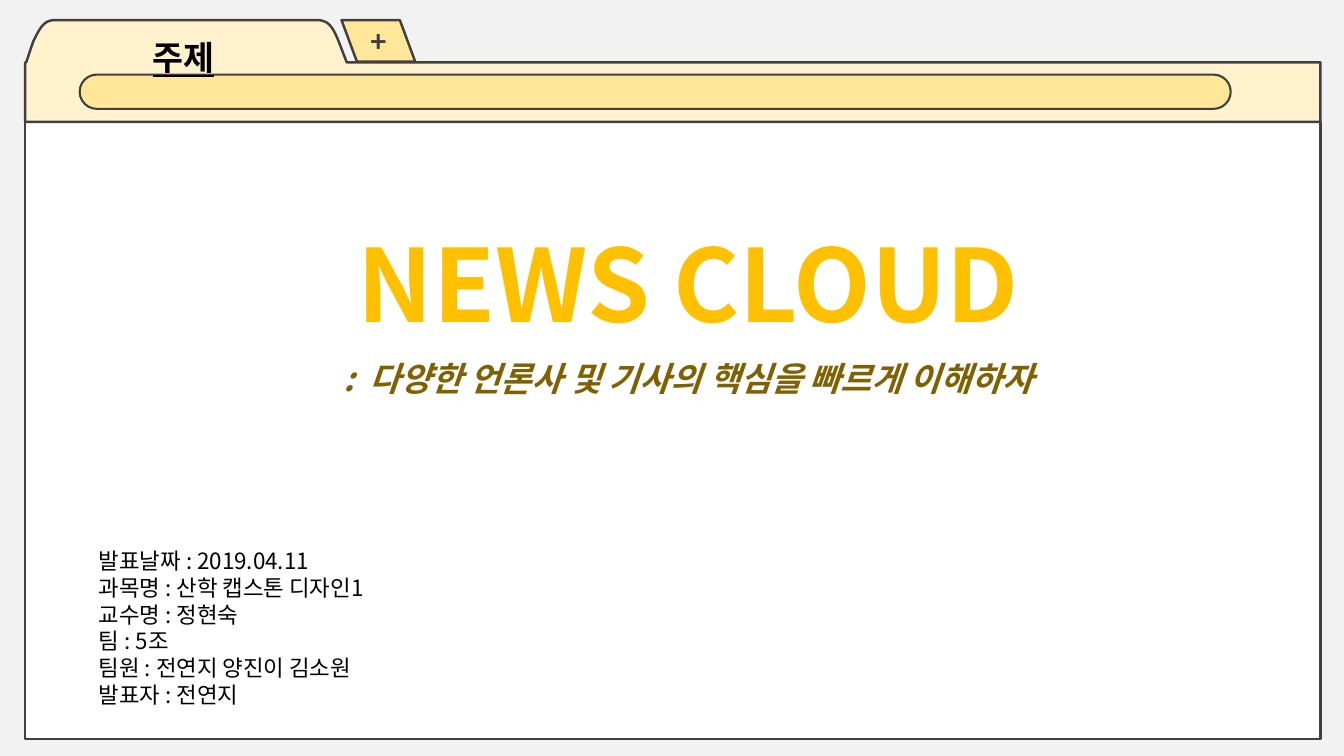
from lxml.etree import SubElement
from pptx import Presentation
from pptx.dml.color import RGBColor
from pptx.enum.shapes import MSO_SHAPE as Kind
from pptx.enum.text import MSO_ANCHOR as Anchor, MSO_AUTO_SIZE as Fit, PP_ALIGN as Align
from pptx.oxml.ns import qn
from pptx.util import Pt

FONT = "Noto Sans CJK KR"
HEX = {"back": "F2F2F2", "page": "FFFFFF", "folder": "FFF2CC", "bar": "FFE699",
       "edge": "404040", "ink": "000000", "gold": "FFC000", "brown": "806000"}
LABEL = "주제"
TITLE = "NEWS CLOUD"
MOTTO = ":  다양한 언론사 및 기사의 핵심을 빠르게 이해하자"
FACTS = [
    "발표날짜 : 2019.04.11",
    "과목명 : 산학 캡스톤 디자인1",
    "교수명 : 정현숙",
    "팀 : 5조",
    "팀원 : 전연지 양진이 김소원",
    "발표자 : 전연지",
]
LEFT, RIGHT, TOP, BASE, FOOT, END = 18, 943.2, 14.4, 44.6, 87.1, 527.8
RISE = [(23.8, 29.5), (28.1, 20.9), (31, TOP), (38.9, TOP)]
FALL = [(226.8, TOP), (235.4, TOP), (238.3, 20.9), (241.9, 29.5)]


def color(name):
    return RGBColor.from_string(HEX[name])


def curve(knots, steps=16):
    weights = (1, 3, 3, 1)
    for step in range(steps + 1):
        t = step / steps
        mix = [w * t ** i * (1 - t) ** (3 - i) for i, w in enumerate(weights)]
        yield tuple(sum(m * knot[axis] for m, knot in zip(mix, knots)) for axis in (0, 1))


def paint(shape, fill, width=1.75):
    shape.shadow.inherit = False
    shape.fill.solid()
    shape.fill.fore_color.rgb = color(fill)
    shape.line.color.rgb = color("edge")
    shape.line.width = Pt(width)
    return shape


def place(shape, box):
    shape.left, shape.top, shape.width, shape.height = map(Pt, box)
    return shape


def write(shape, text, size, ink, align=Align.CENTER, anchor=Anchor.TOP, lead=1.2,
          bold=True, italic=False, under=False):
    frame = shape.text_frame
    frame.text = text
    frame.word_wrap = True
    frame.auto_size = Fit.NONE
    frame.vertical_anchor = anchor
    frame.margin_left = frame.margin_right = frame.margin_top = frame.margin_bottom = 0
    for para in frame.paragraphs:
        para.alignment = align
        para.line_spacing = Pt(size * lead)
        para.space_before = para.space_after = Pt(0)
        for run in para.runs:
            font = run.font
            font.name, font.size, font.bold = FONT, Pt(size), bold
            font.italic, font.underline = italic, under
            font.color.rgb = color(ink)
            SubElement(run._r.get_or_add_rPr(), qn("a:ea")).set("typeface", FONT)


def main():
    deck = Presentation()
    deck.slide_width, deck.slide_height = Pt(960), Pt(540)
    slide = deck.slides.add_slide(deck.slide_layouts[1])
    slide.background.fill.solid()
    slide.background.fill.fore_color.rgb = color("back")
    shapes = slide.shapes
    title, facts = slide.placeholders

    def shape(kind, box):
        return shapes.add_shape(kind, *map(Pt, box))

    paint(shape(Kind.RECTANGLE, (LEFT, FOOT, RIGHT - LEFT, END - FOOT)), "page")

    edge = [(18.7, BASE), *curve(RISE), *curve(FALL), (247.7, BASE),
            (RIGHT, BASE), (RIGHT, FOOT), (LEFT, FOOT)]
    pen = shapes.build_freeform(Pt(LEFT), Pt(BASE), scale=1.0)
    pen.add_line_segments([(Pt(x), Pt(y)) for x, y in edge], close=True)
    paint(pen.convert_to_shape(), "folder")

    bar = paint(shape(Kind.ROUNDED_RECTANGLE, (56.9, 53.3, 822.2, 24.5)), "bar", 1.5)
    bar.adjustments[0] = 0.5

    plus = paint(shape(Kind.PARALLELOGRAM, (244, TOP, 52.6, 29.6)), "bar")
    plus.adjustments[0] = 0.37
    plus._element.spPr.find(qn("a:xfrm")).set("flipH", "1")
    write(plus, "+", 20, "edge", anchor=Anchor.MIDDLE)

    label = shapes.add_textbox(*map(Pt, (39.6, 12.2, 182.9, 43.2)))
    write(label, LABEL, 24, "ink", lead=1.8, under=True)

    place(title, (190, 158.4, 603.4, 86.4))
    write(title, TITLE, 72, "gold")
    motto = shapes.add_textbox(*map(Pt, (190, 255.6, 603.4, 28.8)))
    write(motto, MOTTO, 24, "brown", italic=True)

    place(facts, (70.6, 390.7, 626.4, 115.2))
    write(facts, "\n".join(FACTS), 16, "ink", align=Align.LEFT, bold=False)
    for para in facts.text_frame.paragraphs:
        props = para._p.get_or_add_pPr()
        props.set("marL", "0")
        props.set("indent", "0")
        SubElement(props, qn("a:buNone"))

    for holder in (title, facts):
        shapes._spTree.append(holder._element)
    deck.save("out.pptx")


if __name__ == "__main__":
    main()
